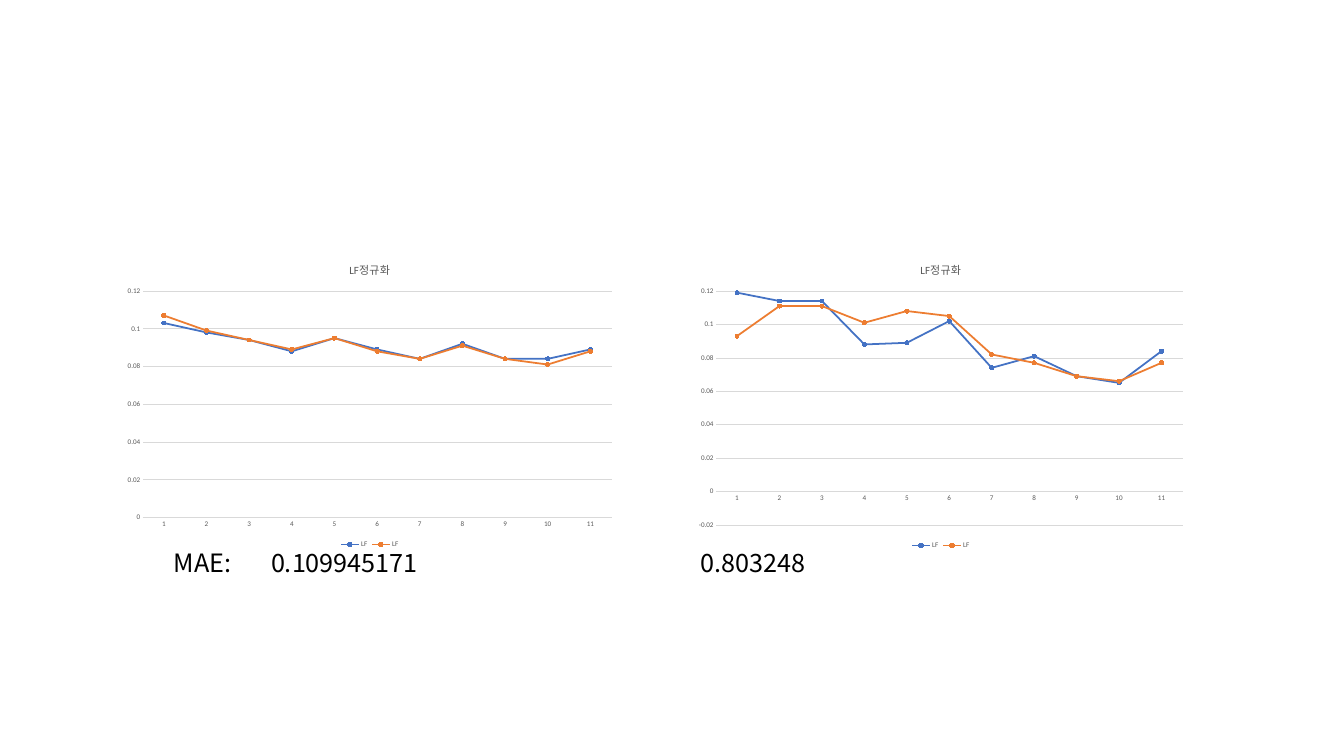
from lxml import etree
from pptx import Presentation
from pptx.chart.data import CategoryChartData
from pptx.dml.color import RGBColor
from pptx.enum.chart import XL_CHART_TYPE, XL_LEGEND_POSITION, XL_MARKER_STYLE, XL_TICK_MARK
from pptx.enum.text import MSO_AUTO_SIZE
from pptx.oxml.ns import qn
from pptx.util import Cm, Pt

LINE_MARKERS = XL_CHART_TYPE.LINE_MARKERS
LEGEND_BOTTOM = XL_LEGEND_POSITION.BOTTOM
CIRCLE = XL_MARKER_STYLE.CIRCLE
NO_TICK = XL_TICK_MARK.NONE
GROW = MSO_AUTO_SIZE.SHAPE_TO_FIT_TEXT

COLORS = {"first": "4472C4", "second": "ED7D31", "label": "595959",
          "grid": "D9D9D9", "text": "000000"}
CHART_FONT = "Calibri"
TEXT_FONT = "Noto Sans CJK KR"

TITLE = "LF정규화"
SERIES_NAME = "LF"
CATEGORIES = [str(number) for number in range(1, 12)]
CHARTS = [
    {"left": 30.85, "height": 13.56, "scale": {"minimum_scale": -0.02, "maximum_scale": 0.12},
     "series": {
        "first": [0.119, 0.114, 0.114, 0.088, 0.089, 0.102, 0.074, 0.081, 0.069, 0.065, 0.084],
        "second": [0.093, 0.111, 0.111, 0.101, 0.108, 0.105, 0.082, 0.077, 0.069, 0.066, 0.077]}},
    {"left": 5.27, "height": 13.51, "scale": {},
     "series": {
        "first": [0.103, 0.098, 0.094, 0.088, 0.095, 0.089, 0.084, 0.092, 0.084, 0.084, 0.089],
        "second": [0.107, 0.099, 0.094, 0.089, 0.095, 0.088, 0.084, 0.091, 0.084, 0.081, 0.088]}},
]
CHART_TOP, CHART_WIDTH = 11.16, 22.58
ERROR_LINE = ["MAE:", "0.109945171", "0.803248"]
ERROR_TABS = [4.35, 23.57]
ERROR_BOX = (7.54, 24.38, 45.14, 1.63)


def color(name):
    return RGBColor.from_string(COLORS[name])


def style_font(font, size, color_name, name=CHART_FONT):
    for key, value in {"size": Pt(size), "bold": False, "name": name}.items():
        setattr(font, key, value)
    font.color.rgb = color(color_name)


def style_line(line, color_name, width):
    line.color.rgb = color(color_name)
    line.width = Pt(width)


def style_axis(axis):
    axis.major_tick_mark = axis.minor_tick_mark = NO_TICK
    style_font(axis.tick_labels.font, 9, "label")
    axis.tick_labels.number_format = "General"
    axis.tick_labels.number_format_is_linked = False


def add_line_chart(page, content):
    data = CategoryChartData()
    data.categories = CATEGORIES
    for values in content["series"].values():
        data.add_series(SERIES_NAME, values)
    place = [Cm(length) for length in
             (content["left"], CHART_TOP, CHART_WIDTH, content["height"])]
    chart = page.shapes.add_chart(LINE_MARKERS, *place, data).chart
    style_font(chart.font, 10, "text")

    chart.has_title = True
    span = chart.chart_title.text_frame.paragraphs[0].add_run()
    span.text = TITLE
    style_font(span.font, 14, "label")
    chart.chart_title.include_in_layout = False

    chart.has_legend = True
    chart.legend.position = LEGEND_BOTTOM
    chart.legend.include_in_layout = False
    style_font(chart.legend.font, 9, "label")

    for axis in (chart.category_axis, chart.value_axis):
        style_axis(axis)
    style_line(chart.category_axis.format.line, "grid", 0.75)
    chart.value_axis.format.line.fill.background()
    style_line(chart.value_axis.major_gridlines.format.line, "grid", 0.75)
    for key, value in content["scale"].items():
        setattr(chart.value_axis, key, value)

    chart.plots[0].vary_by_categories = False
    for series, name in zip(chart.plots[0].series, content["series"]):
        series.smooth = False
        style_line(series.format.line, name, 2.25)
        series.marker.style = CIRCLE
        series.marker.size = 5
        series.marker.format.fill.solid()
        series.marker.format.fill.fore_color.rgb = color(name)
        style_line(series.marker.format.line, name, 0.75)


def add_error_line(page):
    box = page.shapes.add_textbox(*[Cm(length) for length in ERROR_BOX])
    frame = box.text_frame
    frame.word_wrap = True
    frame.auto_size = GROW
    para = frame.paragraphs[0]
    span = para.add_run()
    span.text = "\t".join(ERROR_LINE)
    style_font(span.font, 32, "text", TEXT_FONT)
    tabs = etree.SubElement(para._p.get_or_add_pPr(), qn("a:tabLst"))
    for stop in ERROR_TABS:
        etree.SubElement(tabs, qn("a:tab"), pos=str(int(Cm(stop))), algn="l")


def main():
    deck = Presentation()
    deck.slide_width, deck.slide_height = Cm(60.2), Cm(33.86)
    page = deck.slides.add_slide(deck.slide_layouts[6])
    for content in CHARTS:
        add_line_chart(page, content)
    add_error_line(page)
    deck.save("out.pptx")


if __name__ == "__main__":
    main()
